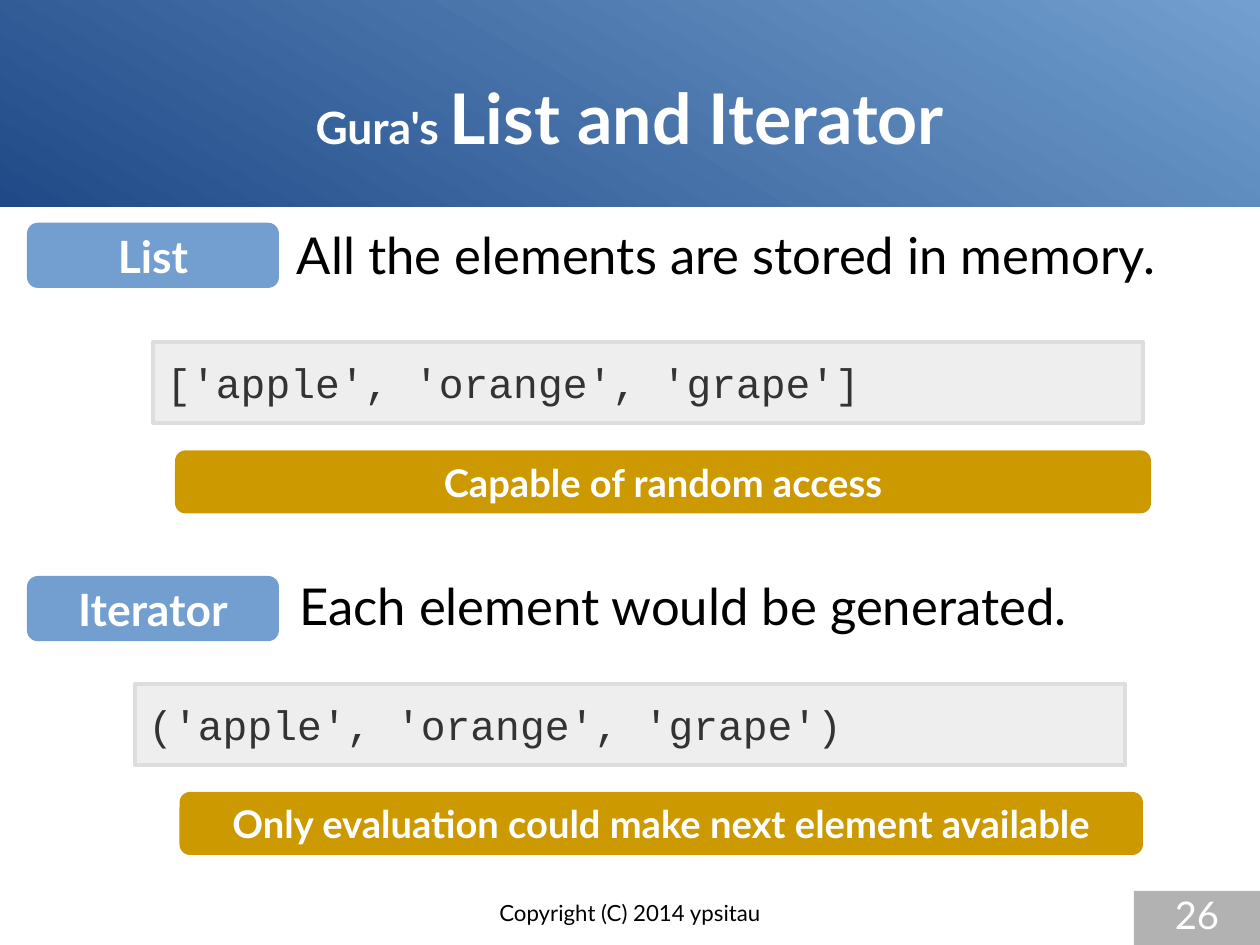
import pptx
import pptx.util
import pptx.dml.color
import pptx.enum.shapes
import pptx.enum.text

Cm = pptx.util.Cm
RGBColor = pptx.dml.color.RGBColor
SHAPE = pptx.enum.shapes.MSO_SHAPE
ALIGN = pptx.enum.text.PP_ALIGN
ANCHOR = pptx.enum.text.MSO_ANCHOR

NAVY = RGBColor(0x20, 0x4A, 0x87)
SKY = RGBColor(0x72, 0x9F, 0xCF)
GOLD = RGBColor(0xCC, 0x99, 0x00)
CODE_FILL = RGBColor(0xEE, 0xEE, 0xEE)
CODE_LINE = RGBColor(0xDD, 0xDD, 0xDD)
CODE_TEXT = RGBColor(0x33, 0x33, 0x33)
GREY = RGBColor(0xB2, 0xB2, 0xB2)
WHITE = RGBColor(0xFF, 0xFF, 0xFF)
BLACK = RGBColor(0x00, 0x00, 0x00)


def write(box, runs, color, align=ALIGN.CENTER, anchor=ANCHOR.MIDDLE,
          font="Lato", bold=False, inset=(0, 0), wrap=False):
    """Fill a box with one paragraph of (text, size) runs."""
    frame = box.text_frame
    frame.word_wrap = wrap
    frame.auto_size = pptx.enum.text.MSO_AUTO_SIZE.NONE
    frame.vertical_anchor = anchor
    frame.margin_left = frame.margin_right = Cm(inset[0])
    frame.margin_top = frame.margin_bottom = Cm(inset[1])
    para = frame.paragraphs[0]
    para.alignment = align
    for text, size in runs:
        span = para.add_run()
        span.text = text
        span.font.name = font
        span.font.size = pptx.util.Pt(size)
        span.font.bold = bold
        span.font.color.rgb = color


def add_block(kind, left, top, width, height, fill):
    """Add a flat shape without outline or shadow."""
    block = page.shapes.add_shape(kind, Cm(left), Cm(top), Cm(width), Cm(height))
    block.shadow.inherit = False
    block.fill.solid()
    block.fill.fore_color.rgb = fill
    block.line.fill.background()
    return block


deck = pptx.Presentation()
deck.slide_width, deck.slide_height = Cm(28), Cm(21)
page = deck.slides.add_slide(deck.slide_layouts[5])

# Title on a gradient banner
banner = add_block(SHAPE.RECTANGLE, 0, 0, 28, 4.6, NAVY)
banner.fill.gradient()
banner.fill.gradient_angle = 60
for stop, color in zip(banner.fill.gradient_stops, (NAVY, SKY)):
    stop.color.rgb = color
title = page.shapes.title
title.element.addprevious(banner.element)
title.left, title.top, title.width, title.height = Cm(1.4), Cm(0.84), Cm(25.2), Cm(3.5)
write(title, [("Gura's ", 28), ("List and Iterator", 44)], WHITE, bold=True, wrap=True)

# Sections: tag and its top, then (text, left, top, width) of lead, code and note
sections = [
    ("List", 4.95,
     ("All the elements are stored in memory.", 6.35, 4.85, 21.08),
     ("['apple', 'orange', 'grape']", 3.4, 7.6, 22),
     ("Capable of random access", 3.89, 10.01, 21.69)),
    ("Iterator", 12.8,
     ("Each element would be generated.", 6.4, 12.65, 18.92),
     ("('apple', 'orange', 'grape')", 3, 15.2, 22),
     ("Only evaluation could make next element available", 3.99, 17.6, 21.41)),
]
for tag_text, tag_top, lead, code, note in sections:
    tag = add_block(SHAPE.ROUNDED_RECTANGLE, 0.6, tag_top, 5.6, 1.45, SKY)
    tag.adjustments[0] = 0.167
    write(tag, [(tag_text, 28)], WHITE, bold=True, inset=(0.25, 0.13))

    text, left, top, width = lead
    lead_box = page.shapes.add_textbox(Cm(left), Cm(top), Cm(width), Cm(1.78))
    write(lead_box, [(text, 32)], BLACK, ALIGN.LEFT, ANCHOR.TOP, inset=(0.25, 0.13))

    text, left, top, width = code
    code_box = add_block(SHAPE.RECTANGLE, left, top, width, 1.8, CODE_FILL)
    code_box.line.color.rgb = CODE_LINE
    code_box.line.width = pptx.util.Pt(2.83)
    write(code_box, [(text, 26)], CODE_TEXT, ALIGN.LEFT,
          font="Courier New", inset=(0.3, 0.18))

    text, left, top, width = note
    note_box = add_block(SHAPE.ROUNDED_RECTANGLE, left, top, width, 1.4, GOLD)
    note_box.adjustments[0] = 0.167
    write(note_box, [(text, 24)], WHITE, bold=True, inset=(0.25, 0.13))

# Footer and page number
footer = page.shapes.add_textbox(Cm(9.57), Cm(19.99), Cm(8.86), Cm(1))
write(footer, [("Copyright (C) 2014 ypsitau", 14)], BLACK, anchor=ANCHOR.TOP, wrap=True)
number = add_block(SHAPE.RECTANGLE, 25.2, 19.8, 2.8, 1.2, GREY)
write(number, [("26", 24)], WHITE, anchor=ANCHOR.TOP, wrap=True)

deck.save("out.pptx")
